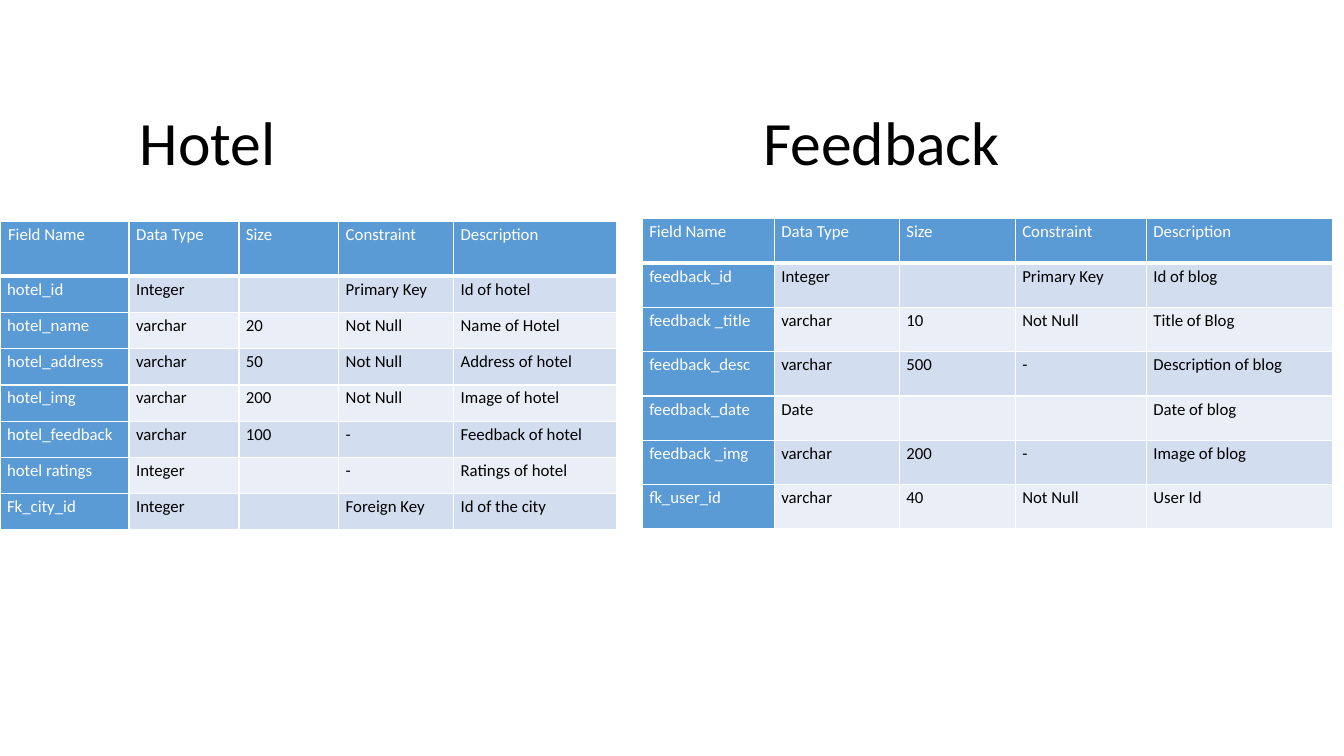
from dataclasses import dataclass

from lxml import etree
from pptx import Presentation
from pptx.dml.color import RGBColor
from pptx.enum.text import MSO_ANCHOR
from pptx.oxml.ns import qn
from pptx.slide import Slide
from pptx.table import _Cell
from pptx.util import Inches, Pt

MIDDLE = MSO_ANCHOR.MIDDLE


@dataclass(frozen=True)
class Theme:
    font: str = "Calibri"
    title_size: int = 44
    cell_size: int = 12
    white: str = "FFFFFF"
    black: str = "000000"
    accent: str = "5B9BD5"
    bands: tuple[str, str] = ("D2DEEF", "EAEFF7")
    rule: int = 1
    header_rule: int = 3


@dataclass(frozen=True)
class FieldTable:
    left: float
    top: float
    header_height: float
    row_height: float
    widths: tuple[float, ...]
    fields: tuple[tuple[str, ...], ...]
    hanging_header: bool = False


THEME = Theme()
HEADER = ("Field Name", "Data Type", "Size", "Constraint", "Description")

HOTEL = FieldTable(
    0, 2.2, 0.54, 0.36, (1.28, 1.09, 0.99, 1.14, 1.62),
    (
        ("hotel_id", "Integer", "", "Primary Key", "Id of hotel"),
        ("hotel_name", "varchar", "20", "Not Null", "Name of Hotel"),
        ("hotel_address", "varchar", "50", "Not Null", "Address of hotel"),
        ("hotel_img", "varchar", "200", "Not Null", "Image of hotel"),
        ("hotel_feedback", "varchar", "100", "-", "Feedback of hotel"),
        ("hotel ratings", "Integer", "", "-", "Ratings of hotel"),
        ("Fk_city_id", "Integer", "", "Foreign Key", "Id of the city"),
    ),
    hanging_header=True,
)
FEEDBACK = FieldTable(
    6.37, 2.17, 0.44, 0.44, (1.31, 1.24, 1.15, 1.3, 1.85),
    (
        ("feedback_id", "Integer", "", "Primary Key", "Id of blog"),
        ("feedback _title", "varchar", "10", "Not Null", "Title of Blog"),
        ("feedback_desc", "varchar", "500", "-", "Description of blog"),
        ("feedback_date", "Date", "", "", "Date of blog"),
        ("feedback _img", "varchar", "200", "-", "Image of blog"),
        ("fk_user_id", "varchar", "40", "Not Null", "User Id"),
    ),
)


def set_borders(cell: _Cell, bottom: int) -> None:
    tc_pr = cell._tc.get_or_add_tcPr()
    rules = {"L": THEME.rule, "R": THEME.rule, "T": THEME.rule, "B": bottom}
    for side, width in rules.items():
        ln = etree.SubElement(tc_pr, qn(f"a:ln{side}"), w=str(Pt(width)))
        fill = etree.SubElement(ln, qn("a:solidFill"))
        etree.SubElement(fill, qn("a:srgbClr"), val=THEME.white)


def style_cell(cell: _Cell, text: str, row: int, col: int) -> None:
    heading = row == 0 or col == 0
    set_borders(cell, THEME.header_rule if row == 0 else THEME.rule)
    cell.fill.solid()
    fill = THEME.accent if heading else THEME.bands[(row - 1) % 2]
    cell.fill.fore_color.rgb = RGBColor.from_string(fill)
    cell.margin_left = cell.margin_right = Inches(0.07)
    cell.margin_top = cell.margin_bottom = 0
    if not text:
        return
    p = cell.text_frame.paragraphs[0]
    p.text = text
    p.line_spacing = 1.15
    p.space_after = Pt(10)
    font = p.runs[0].font
    font.name = THEME.font
    font.size = Pt(THEME.cell_size)
    font.bold = False
    font.color.rgb = RGBColor.from_string(THEME.white if heading else THEME.black)


def add_field_table(s: Slide, spec: FieldTable) -> None:
    rows = (HEADER, *spec.fields)
    heights = (spec.header_height, *[spec.row_height] * len(spec.fields))
    table = s.shapes.add_table(
        len(rows), len(HEADER), Inches(spec.left), Inches(spec.top),
        Inches(sum(spec.widths)), Inches(sum(heights)),
    ).table
    for column, width in zip(table.columns, spec.widths):
        column.width = Inches(width)
    for row, height in zip(table.rows, heights):
        row.height = Inches(height)
    for i, values in enumerate(rows):
        for j, text in enumerate(values):
            style_cell(table.cell(i, j), text, i, j)
    if spec.hanging_header:
        p_pr = table.cell(0, 0).text_frame.paragraphs[0]._p.get_or_add_pPr()
        p_pr.set("marL", str(Inches(0.11)))
        p_pr.set("indent", str(Inches(-0.1)))


def add_title(s: Slide, text: str, tab: float) -> None:
    sp = s.shapes.add_textbox(Inches(1.29), Inches(0.72), Inches(11.5), Inches(1.45))
    tf = sp.text_frame
    tf.word_wrap = True
    tf.vertical_anchor = MIDDLE
    p = tf.paragraphs[0]
    p.text = text
    p.line_spacing = 0.9
    tabs = etree.SubElement(p._p.get_or_add_pPr(), qn("a:tabLst"))
    etree.SubElement(tabs, qn("a:tab"), pos=str(Inches(tab)), algn="l")
    font = p.runs[0].font
    font.name = THEME.font
    font.size = Pt(THEME.title_size)
    font.color.rgb = RGBColor.from_string(THEME.black)


def main() -> None:
    prs = Presentation()
    prs.slide_width = Inches(13.33)
    prs.slide_height = Inches(7.5)
    s = prs.slides.add_slide(prs.slide_layouts[6])
    for spec in (HOTEL, FEEDBACK):
        add_field_table(s, spec)
    add_title(s, "Hotel\tFeedback", 6.18)
    prs.save("out.pptx")


if __name__ == "__main__":
    main()
